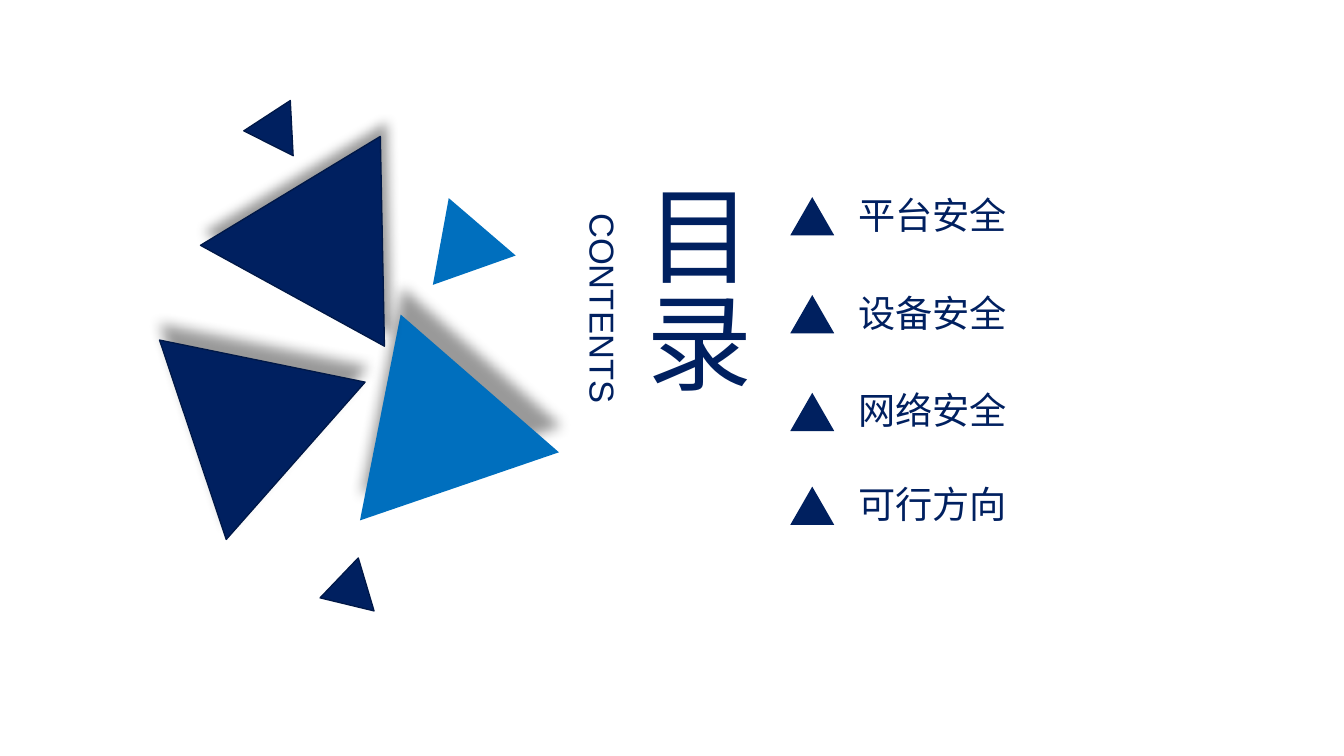
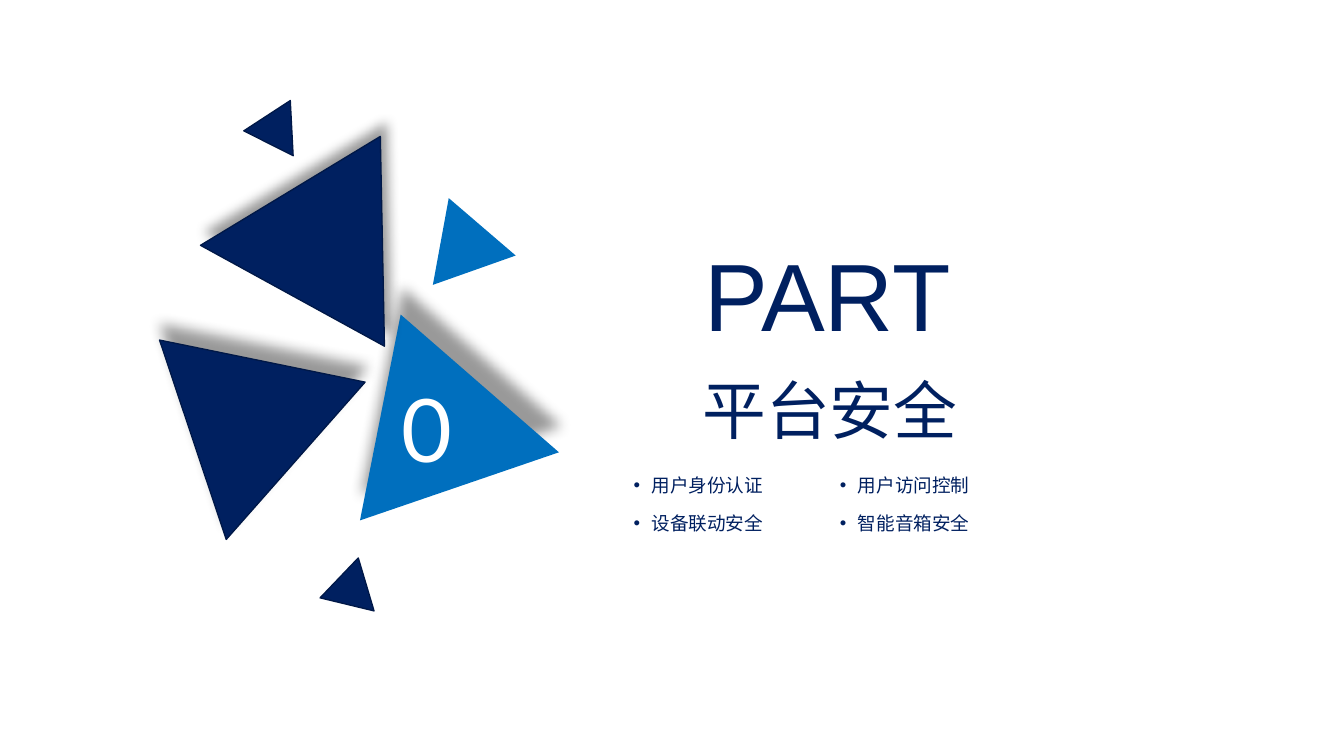
import pptx
import pptx.dml.color
import pptx.enum.shapes
import pptx.enum.text
import pptx.oxml
import pptx.oxml.ns
import pptx.util
from lxml import etree

Pt = pptx.util.Pt
RGBColor = pptx.dml.color.RGBColor
ANCHOR = pptx.enum.text.MSO_ANCHOR
ALIGN = pptx.enum.text.PP_ALIGN
qn = pptx.oxml.ns.qn

NAVY = RGBColor(0x00, 0x20, 0x60)
NAVY_EDGE = RGBColor(0x00, 0x18, 0x47)
MARKER_NAVY = RGBColor(0x00, 0x20, 0x5F)
BLUE = RGBColor(0x00, 0x6F, 0xBE)
WHITE = RGBColor(0xFF, 0xFF, 0xFF)

# Left, top, width, height, rotation, fill, edge, shadow (blur, distance, direction)
CLUSTER = [
    (244.8, 233.3, 158.4, 136.8, 341.1, BLUE, None, (10, 20, 275)),
    (175, 133.9, 158.4, 136.8, 148.8, NAVY, NAVY_EDGE, (9, 11, 290)),
    (131, 241.2, 158.4, 136.8, 71.5, NAVY, NAVY_EDGE, (10, 12, 275)),
    (314.6, 147.6, 66.2, 57.6, 340.5, BLUE, None, None),
    (244.8, 419.8, 41.8, 36, 13.6, NAVY, NAVY_EDGE, None),
    (190.1, 84.2, 41.8, 36, 146.9, NAVY, NAVY_EDGE, None),
]


class Deck:
    """Holds the presentation, its style and the current slide."""

    def __init__(self):
        self.presentation = pptx.Presentation()
        self.presentation.slide_width = Pt(1012.5)
        self.presentation.slide_height = Pt(569.5)
        self.slide = None

    def new_slide(self):
        self.slide = self.presentation.slides.add_slide(self.presentation.slide_layouts[6])
        fill = self.slide.background.fill
        fill.solid()
        fill.fore_color.rgb = WHITE

    def triangle(self, left, top, width, height, rotation=0, color=NAVY, edge=None, shadow=None):
        shape = self.slide.shapes.add_shape(
            pptx.enum.shapes.MSO_SHAPE.ISOSCELES_TRIANGLE,
            Pt(left), Pt(top), Pt(width), Pt(height))
        shape.rotation = rotation
        shape.fill.solid()
        shape.fill.fore_color.rgb = color
        if edge is None:
            shape.line.fill.background()
        else:
            shape.line.color.rgb = edge
            shape.line.width = Pt(1)
        shape.shadow.inherit = False
        if shadow:
            self.cast_shadow(shape, *shadow)

    def cast_shadow(self, shape, blur, distance, direction):
        effects = shape._element.spPr.find(qn("a:effectLst"))
        outer = etree.SubElement(
            effects, qn("a:outerShdw"), blurRad=str(Pt(blur)), dist=str(Pt(distance)),
            dir=str(direction * 60000), algn="ctr", rotWithShape="0")
        black = etree.SubElement(outer, qn("a:srgbClr"), val="000000")
        etree.SubElement(black, qn("a:alpha"), val="40000")

    def cluster(self):
        for triangle in CLUSTER:
            self.triangle(*triangle)

    def text(self, text, left, top, width, height, size, font="Arial", color=NAVY, align=None,
             anchor=ANCHOR.TOP, inset=False, wrap=True, vertical=False, bullet=False):
        box = self.slide.shapes.add_textbox(Pt(left), Pt(top), Pt(width), Pt(height))
        frame = box.text_frame
        frame.word_wrap = wrap
        frame.auto_size = pptx.enum.text.MSO_AUTO_SIZE.SHAPE_TO_FIT_TEXT
        frame.vertical_anchor = anchor
        if not inset:
            frame.margin_left = frame.margin_right = frame.margin_top = frame.margin_bottom = 0
        if vertical:
            frame._txBody.bodyPr.set("vert", "eaVert")
        paragraph = frame.paragraphs[0]
        if align is not None:
            paragraph.alignment = align
        if bullet:
            paragraph.level = 1
            properties = paragraph._p.get_or_add_pPr()
            properties.set("marL", str(Pt(13.5)))
            properties.set("indent", str(-Pt(13.5)))
            etree.SubElement(properties, qn("a:buFont"), typeface="Arial")
            etree.SubElement(properties, qn("a:buChar"), char="•")
        run = paragraph.add_run()
        run.text = text
        run.font.size = Pt(size)
        run.font.name = font
        run.font.color.rgb = color

    def agenda_item(self, text, top):
        self.triangle(595.4, top, 33.1, 28.8, color=MARKER_NAVY)
        self.text(text, 646.6, top - 4, 194.4, 33.8, 28, anchor=ANCHOR.MIDDLE)


def contents_slide(deck):
    deck.new_slide()
    deck.cluster()
    # Agenda
    for text, top in [("平台安全", 148.5), ("设备安全", 222.3),
                      ("网络安全", 295.9), ("可行方向", 366.6)]:
        deck.agenda_item(text, top)
    # Vertical title
    deck.text("目录", 475.2, 137.5, 97.2, 249.8, 80, align=ALIGN.CENTER,
              anchor=ANCHOR.MIDDLE, vertical=True)
    deck.text("CONTENTS", 438.5, 160.6, 31.7, 203.8, 26, align=ALIGN.CENTER, vertical=True)


def section_slide(deck):
    deck.new_slide()
    # Section title and topics
    deck.text("平台安全", 529.2, 279.4, 202.3, 58.3, 48, font="Calibri")
    topics = ["用户身份认证", "用户访问控制", "设备联动安全", "智能音箱安全"]
    for index, topic in enumerate(topics):
        row, column = divmod(index, 2)
        deck.text(topic, 470.2 + 155.5 * column, 353.5 + 28.8 * row, 195.1, 24.5, 14,
                  font="Noto Sans CJK SC", inset=True, bullet=True)
    # Triangles, part label and section number
    deck.cluster()
    deck.text("PART", 451.4, 177.1, 344.2, 87.1, 72, align=ALIGN.CENTER, anchor=ANCHOR.MIDDLE)
    deck.text("0", 295.2, 279, 79.9, 87.1, 66, font="Lato", color=WHITE, inset=True)


def main():
    deck = Deck()
    contents_slide(deck)
    section_slide(deck)
    deck.presentation.save("out.pptx")


if __name__ == "__main__":
    main()
